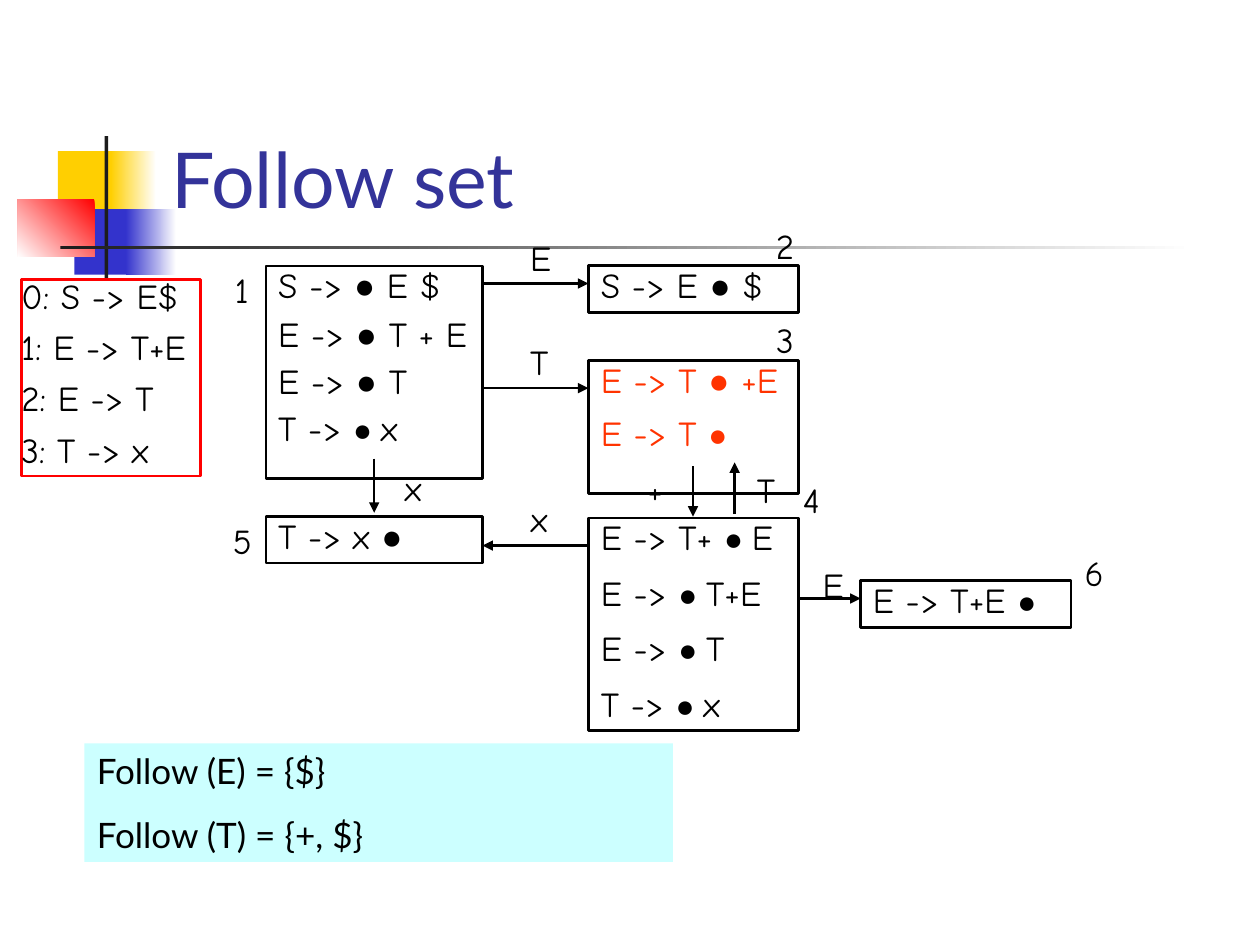
from dataclasses import dataclass

from lxml.etree import SubElement
from pptx import Presentation
from pptx.dml.color import RGBColor
from pptx.enum.shapes import MSO_CONNECTOR as Connector, MSO_SHAPE as Preset
from pptx.enum.text import MSO_ANCHOR as Anchor, PP_ALIGN as Align
from pptx.oxml.ns import qn
from pptx.util import Inches, Pt

BLACK = RGBColor(0, 0, 0)
WHITE = RGBColor(255, 255, 255)
YELLOW = RGBColor(0xFF, 0xCF, 0x01)
BLUE = RGBColor(0x33, 0x33, 0xCC)
RED = RGBColor(0xFF, 0, 0)
DARK = RGBColor(0x1C, 0x1C, 0x1C)
TITLE_BLUE = RGBColor(0x33, 0x33, 0x99)
ORANGE = RGBColor(0xFF, 0x33, 0x00)
PALE_CYAN = RGBColor(0xCC, 0xFF, 0xFF)

HAND, SANS, SYMBOL = "Comic Neue", "Lato", "Arial"
DOT = "●"


@dataclass
class Line:
    text: str
    spacing: float = 0.8
    before: float = 12.5
    dot_size: float = 20


@dataclass
class Box:
    left: float
    top: float
    width: float
    height: float
    lines: list[Line]
    color: RGBColor = BLACK
    outline: RGBColor | None = BLACK
    fill: RGBColor | None = None
    font: str = HAND
    inset: float = 0.1


@dataclass
class Label:
    text: str
    center: float
    top: float


@dataclass
class Arrow:
    x1: float
    y1: float
    x2: float
    y2: float


@dataclass
class Decoration:
    left: float
    top: float
    width: float
    height: float
    color: RGBColor
    fade_angle: float | None = None  # direction from the colour to white


def apply(target, values: dict) -> None:
    for name, value in values.items():
        setattr(target, name, value)


def add_run(paragraph, text: str, font: str, size: float, color: RGBColor) -> None:
    run = paragraph.add_run()
    run.text = text
    apply(run.font, {"name": font, "size": Pt(size)})
    run.font.color.rgb = color


def add_rectangle(slide, left: float, top: float, width: float, height: float):
    shape = slide.shapes.add_shape(
        Preset.RECTANGLE, Inches(left), Inches(top), Inches(width), Inches(height))
    shape.shadow.inherit = False
    shape.line.fill.background()
    return shape


def draw_decoration(slide, item: Decoration) -> None:
    shape = add_rectangle(slide, item.left, item.top, item.width, item.height)
    if item.fade_angle is None:
        shape.fill.solid()
        shape.fill.fore_color.rgb = item.color
        return
    shape.fill.gradient()
    shape.fill.gradient_angle = item.fade_angle
    for stop, color in zip(shape.fill.gradient_stops, (item.color, WHITE)):
        stop.color.rgb = color


def draw_box(slide, box: Box) -> None:
    shape = add_rectangle(slide, box.left, box.top, box.width, box.height)
    if box.fill is None:
        shape.fill.background()
    else:
        shape.fill.solid()
        shape.fill.fore_color.rgb = box.fill
    if box.outline is not None:
        shape.line.color.rgb = box.outline
        shape.line.width = Pt(1.5)
    frame = shape.text_frame
    apply(frame, {"word_wrap": True, "vertical_anchor": Anchor.TOP,
                  "margin_left": Inches(box.inset), "margin_right": Inches(box.inset)})
    for index, line in enumerate(box.lines):
        paragraph = frame.add_paragraph() if index else frame.paragraphs[0]
        apply(paragraph, {"alignment": Align.LEFT, "line_spacing": line.spacing,
                          "space_before": Pt(line.before)})
        head, dot, tail = line.text.partition(DOT)
        if dot and line.dot_size < 20 and tail:  # a small dot keeps its space
            dot, tail = dot + " ", tail.lstrip()
        add_run(paragraph, head, box.font, 20, box.color)
        if dot:
            add_run(paragraph, dot, SYMBOL, line.dot_size, box.color)
        if tail:
            add_run(paragraph, tail, box.font, 20, box.color)


def draw_label(slide, label: Label) -> None:
    width = 0.34
    shape = slide.shapes.add_textbox(
        Inches(label.center - width / 2), Inches(label.top), Inches(width), Inches(0.44))
    shape.text_frame.word_wrap = False
    paragraph = shape.text_frame.paragraphs[0]
    paragraph.alignment = Align.CENTER
    add_run(paragraph, label.text, HAND, 20, BLACK)


def draw_arrow(slide, arrow: Arrow) -> None:
    connector = slide.shapes.add_connector(
        Connector.STRAIGHT, Inches(arrow.x1), Inches(arrow.y1),
        Inches(arrow.x2), Inches(arrow.y2))
    connector.line.color.rgb = BLACK
    connector.line.width = Pt(1.5)
    SubElement(connector.line._get_or_add_ln(), qn("a:tailEnd"), type="triangle")
    SubElement(connector._element.spPr, qn("a:effectLst"))


def draw_title(slide, text: str) -> None:
    shape = slide.shapes.add_textbox(Inches(1.26), Inches(0.23), Inches(8.52), Inches(1.6))
    apply(shape.text_frame, {"word_wrap": True, "vertical_anchor": Anchor.BOTTOM})
    add_run(shape.text_frame.paragraphs[0], text, SANS, 44, TITLE_BLUE)


DECORATIONS = [
    Decoration(0.46, 1.2, 0.48, 0.52, YELLOW),
    Decoration(0.88, 1.2, 0.36, 0.52, YELLOW, 0),
    Decoration(0.59, 1.66, 0.46, 0.52, BLUE),
    Decoration(1, 1.66, 0.4, 0.52, BLUE, 0),
    Decoration(0.14, 1.58, 0.61, 0.46, RED, 225),
    Decoration(0.83, 1.08, 0.03, 1.15, DARK),
    Decoration(0.48, 1.95, 9, 0.03, DARK, 0),
]

GRAMMAR = ["0: S -> E$", "1: E -> T+E", "2: E -> T", "3: T -> x"]
STATE_4 = ["E -> T+ ● E", "E -> ● T+E", "E -> ● T", "T -> ● x"]
FOLLOW_SETS = ["Follow (E) = {$}", "Follow (T) = {+, $}"]

BOXES = [
    Box(0.17, 2.22, 1.42, 1.56, [Line(rule, 0.7) for rule in GRAMMAR],
        outline=RED, inset=0),
    # Parser states 1 to 6
    Box(2.11, 2.11, 1.72, 1.69, [
        Line("S -> ● E $"), Line("E -> ● T + E", 0.6), Line("E -> ● T", 0.6),
        Line("T -> ● x", 0.6, dot_size=18)]),
    Box(4.67, 2.11, 1.67, 0.37, [Line("S -> E ● $")]),
    Box(4.67, 2.86, 1.67, 1.06, [
        Line("E -> T ● +E"), Line("E -> T ●", before=11.2, dot_size=18)], color=ORANGE),
    Box(4.67, 4.11, 1.67, 1.69, [Line(item, dot_size=18) for item in STATE_4]),
    Box(2.11, 4.1, 1.72, 0.37, [Line("T -> x ●")]),
    Box(6.83, 4.61, 1.67, 0.37, [Line("E -> T+E ●", before=11.2, dot_size=18)]),
    Box(0.67, 5.9, 4.67, 0.94, [Line(text, 1.0) for text in FOLLOW_SETS],
        outline=None, fill=PALE_CYAN, font=SANS),
]

LABELS = [
    # State numbers
    Label("1", 1.92, 2.08), Label("2", 6.23, 1.73), Label("3", 6.23, 2.48),
    Label("4", 6.44, 3.75), Label("5", 1.92, 4.07), Label("6", 8.68, 4.33),
    # Transition symbols
    Label("E", 4.28, 1.83), Label("T", 4.28, 2.65), Label("x", 4.28, 3.9),
    Label("x", 3.28, 3.65), Label("+", 5.2, 3.67), Label("T", 6.08, 3.67),
    Label("E", 6.6, 4.42),
]

ARROWS = [
    Arrow(2.97, 3.64, 2.97, 4.07), Arrow(3.83, 2.25, 4.67, 2.25),
    Arrow(3.83, 3.08, 4.67, 3.08), Arrow(5.5, 3.7, 5.5, 4.1),
    Arrow(5.83, 4.08, 5.83, 3.67), Arrow(4.67, 4.33, 3.83, 4.33),
    Arrow(6.33, 4.75, 6.83, 4.75),
]


def main() -> None:
    presentation = Presentation()
    apply(presentation, {"slide_width": Inches(10), "slide_height": Inches(7.5)})
    slide = presentation.slides.add_slide(presentation.slide_layouts[6])
    for decoration in DECORATIONS:
        draw_decoration(slide, decoration)
    draw_title(slide, "Follow set")
    for box in BOXES:
        draw_box(slide, box)
    for arrow in ARROWS:
        draw_arrow(slide, arrow)
    for label in LABELS:
        draw_label(slide, label)
    presentation.save("out.pptx")


if __name__ == "__main__":
    main()
